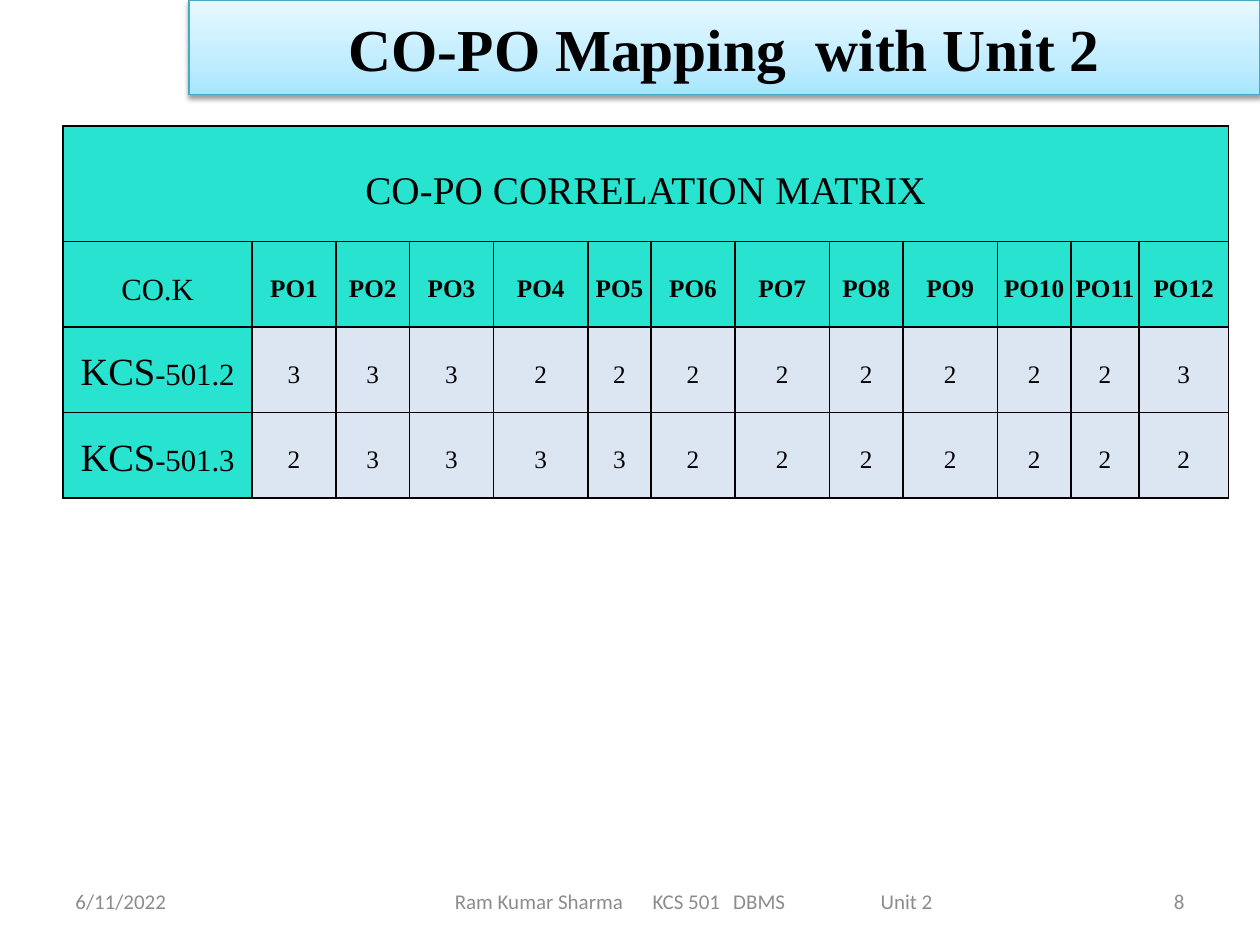
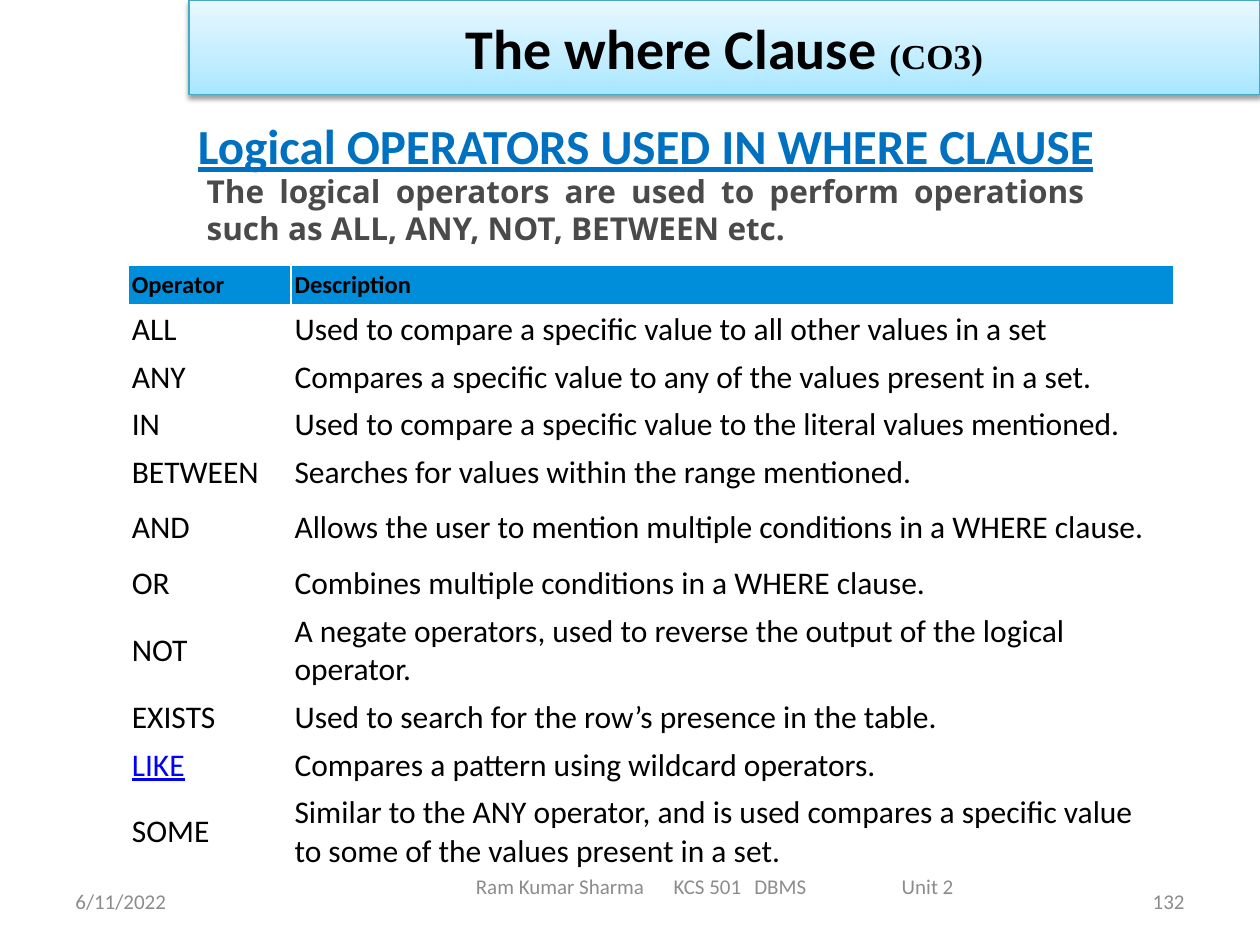
"""Builds two course slides: a CO-PO matrix and the logical operators of WHERE."""
from typing import NamedTuple

from pptx import Presentation
from pptx import util as u
from pptx.dml.color import RGBColor
from pptx.enum import text as t
from pptx.oxml import parse_xml
from pptx.oxml.ns import nsdecls

BLACK = RGBColor(0x00, 0x00, 0x00)
GREY = RGBColor(0x8C, 0x8C, 0x8C)
DARK_GREY = RGBColor(0x4A, 0x4A, 0x4A)
BAND_EDGE = RGBColor(0x46, 0xAA, 0xC5)
TURQUOISE = RGBColor(0x29, 0xE3, 0xD1)
PALE_BLUE = RGBColor(0xDC, 0xE6, 0xF2)
HEADER_BLUE = RGBColor(0x00, 0x8D, 0xD9)
HEADING_BLUE = RGBColor(0x00, 0x70, 0xC0)
LINK_BLUE = RGBColor(0x00, 0x00, 0xFF)
BAND_STOPS = (
    (0, RGBColor(0xA7, 0xE6, 0xFF)),
    (35, RGBColor(0xC1, 0xED, 0xFF)),
    (100, RGBColor(0xE7, 0xF8, 0xFF)),
)

SERIF, SANS, OPEN = "Times New Roman", "Calibri", "Open Sans"
LEFT, CENTER = t.PP_ALIGN.LEFT, t.PP_ALIGN.CENTER
RIGHT, JUSTIFY = t.PP_ALIGN.RIGHT, t.PP_ALIGN.JUSTIFY
MIDDLE, TOP = t.MSO_ANCHOR.MIDDLE, t.MSO_ANCHOR.TOP

GRID_COLUMNS, GRID_ROWS = 120, 90
WIDTH, HEIGHT = u.Inches(10), u.Inches(7.5)

DATE = "6/11/2022"
FOOTER = "Ram Kumar Sharma\tKCS 501\tDBMS\tUnit 2"
FOOTER_TABS = (1.57, 2.21, 3.38)
FOOTER_LENGTH = 3.78

PO_WIDTHS = (8, 7, 8, 9, 6, 8, 9, 7, 9, 7, 6.5, 8.5)
CORRELATIONS = {"KCS-501.2": "333222222223", "KCS-501.3": "233332222222"}

OPERATORS = (
    ("Operator", "Description", 3),
    ("ALL", "Used to compare a specific value to all other values in a set", 3.7),
    ("ANY", "Compares a specific value to any of the values present in a set.", 3.7),
    ("IN", "Used to compare a specific value to the literal values mentioned.", 3.7),
    ("BETWEEN", "Searches for values within the range mentioned.", 4.2),
    ("AND", "Allows the user to mention multiple conditions in a WHERE clause.", 6),
    ("OR", "Combines multiple conditions in a WHERE clause.", 3.7),
    ("NOT", "A negate operators, used to reverse the output of the logical operator.", 6.6),
    ("EXISTS", "Used to search for the row’s presence in the table.", 3.7),
    ("LIKE", "Compares a pattern using wildcard operators.", 3.7),
    ("SOME", "Similar to the ANY operator, and is used compares a specific value "
             "to some of the values present in a set.", 6.6),
)


class Area(NamedTuple):
    """A rectangle in grid columns and rows."""
    column: float
    row: float
    columns: float
    rows: float

    def lengths(self):
        """Return left, top, width and height on the slide."""
        return across(self.column), down(self.row), across(self.columns), down(self.rows)


class Span(NamedTuple):
    """A piece of a title with its own font."""
    text: str
    size: float
    font: str


BAND = Area(18, 0, 102, 9)
DATE_AREA = Area(6, 83.4, 28, 4.8)
NUMBER_AREA = Area(86, 83.4, 28, 4.8)


def across(columns: float) -> int:
    """Turn grid columns into a length."""
    return round(WIDTH * columns / GRID_COLUMNS)


def down(rows: float) -> int:
    """Turn grid rows into a length."""
    return round(HEIGHT * rows / GRID_ROWS)


def write(para, text: str, *, size: float, font: str = SANS, colour=BLACK, bold=False,
          underline=False, small_caps=False, align=LEFT):
    """Append a formatted span to a paragraph."""
    para.alignment = align
    span = para.add_run()
    span.text = text
    span.font.size = u.Pt(size)
    span.font.name = font
    span.font.bold = bold
    span.font.underline = underline
    span.font.color.rgb = colour
    if small_caps:
        span.font._element.set("cap", "small")


def add_text(page, area: Area, text: str, *, anchor=MIDDLE, margins=(0.1, 0.05, 0.1, 0.05),
             **style):
    """Add a wrapping text box and return its paragraph."""
    frame = page.shapes.add_textbox(*area.lengths()).text_frame
    frame.word_wrap = True
    frame.vertical_anchor = anchor
    set_margins(frame, margins)
    write(frame.paragraphs[0], text, **style)
    return frame.paragraphs[0]


def set_margins(holder, margins) -> None:
    """Set left, top, right and bottom margins in inches."""
    sides = ("margin_left", "margin_top", "margin_right", "margin_bottom")
    for side, margin in zip(sides, margins):
        setattr(holder, side, u.Inches(margin))


def style_band(title) -> None:
    """Give the title its gradient, edge and shadow."""
    stops = "".join(f'<a:gs pos="{share * 1000}"><a:srgbClr val="{colour}"/></a:gs>'
                    for share, colour in BAND_STOPS)
    properties = title._element.spPr
    for part in (
        f'<a:prstGeom {nsdecls("a")} prst="rect"><a:avLst/></a:prstGeom>',
        f'<a:gradFill {nsdecls("a")} rotWithShape="1"><a:gsLst>{stops}</a:gsLst>'
        '<a:lin ang="16200000" scaled="0"/></a:gradFill>',
    ):
        properties.append(parse_xml(part))
    title.line.color.rgb = BAND_EDGE
    title.line.width = u.Pt(0.75)
    properties.append(parse_xml(
        f'<a:effectLst {nsdecls("a")}><a:outerShdw blurRad="39400" dist="20300" dir="5400000" '
        'rotWithShape="0"><a:srgbClr val="000000"><a:alpha val="38000"/></a:srgbClr>'
        '</a:outerShdw></a:effectLst>'))


def add_footer(page, area: Area) -> None:
    """Add the course line, its parts spaced by tab stops."""
    inset = (across(area.columns) / u.Inches(1) - FOOTER_LENGTH) / 2
    para = add_text(page, area, FOOTER, size=12, colour=GREY, margins=(inset, 0.05, 0, 0.05))
    tabs = "".join(f'<a:tab pos="{u.Inches(stop)}" algn="l"/>' for stop in FOOTER_TABS)
    para._p.get_or_add_pPr().append(
        parse_xml(f'<a:tabLst {nsdecls("a")}>{tabs}</a:tabLst>'))


def add_page(deck, title_spans, number: str, footer_area: Area):
    """Add a slide with title band, date, course line and number."""
    page = deck.slides.add_slide(deck.slide_layouts[5])
    title = page.shapes.title
    title.left, title.top, title.width, title.height = BAND.lengths()
    style_band(title)
    frame = title.text_frame
    frame.auto_size = t.MSO_AUTO_SIZE.NONE
    frame.vertical_anchor = MIDDLE
    for span in title_spans:
        write(frame.paragraphs[0], span.text, size=span.size, font=span.font,
              bold=True, align=CENTER)
    add_text(page, DATE_AREA, DATE, size=12, colour=GREY)
    add_footer(page, footer_area)
    add_text(page, NUMBER_AREA, number, size=12, colour=GREY, align=RIGHT)
    return page


def add_grid(page, column: float, row: float, widths, heights):
    """Add a plain table with the given column widths and row heights."""
    area = Area(column, row, sum(widths), sum(heights))
    table = page.shapes.add_table(len(heights), len(widths), *area.lengths()).table
    table.first_row = table.horz_banding = False
    for grid_column, width in zip(table.columns, widths):
        grid_column.width = across(width)
    for grid_row, height in zip(table.rows, heights):
        grid_row.height = down(height)
    return table


def fill_cell(cell, text: str, *, fill=None, margins=(0, 0, 0, 0), **style):
    """Fill a cell, write its text and return the paragraph."""
    if fill is None:
        cell.fill.background()
    else:
        cell.fill.solid()
        cell.fill.fore_color.rgb = fill
    cell.vertical_anchor = MIDDLE
    set_margins(cell, margins)
    para = cell.text_frame.paragraphs[0]
    if text:
        write(para, text, **style)
    return para


def add_borders(cell) -> None:
    """Draw a black line on each side of a cell."""
    for index, side in enumerate("LRTB"):
        cell._tc.get_or_add_tcPr().insert(index, parse_xml(
            f'<a:ln{side} {nsdecls("a")} w="12700"><a:solidFill>'
            f'<a:srgbClr val="{BLACK}"/></a:solidFill></a:ln{side}>'))


def build_mapping(deck) -> None:
    """Build the CO-PO correlation matrix."""
    page = add_page(deck, [Span("CO-PO Mapping  with Unit 2", 34, SERIF)], "8",
                    Area(33, 83.4, 66, 4.8))
    outcomes = [f"po{number}" for number in range(1, len(PO_WIDTHS) + 1)]
    lines = [["co-po correlation matrix"] + [""] * len(outcomes), ["co.k", *outcomes]]
    lines += [[course, *levels] for course, levels in CORRELATIONS.items()]
    table = add_grid(page, 6, 12, (18, *PO_WIDTHS), (11, 8.15, 8.15, 8.15))
    table.cell(0, 0).merge(table.cell(0, len(outcomes)))
    for row, line in enumerate(lines):
        for column, text in enumerate(line):
            cell = table.cell(row, column)
            size = 28 if row == 0 else 22 if column == 0 else 18
            para = fill_cell(cell, text, fill=TURQUOISE if row < 2 or column == 0 else PALE_BLUE,
                             size=size, font=SERIF, bold=row == 1 and column > 0,
                             small_caps=True, align=CENTER)
            para.line_spacing = 1.15
            para.space_after = u.Pt(10)
            add_borders(cell)


def build_operators(deck) -> None:
    """Build the table of logical operators."""
    page = add_page(deck, [Span("The where Clause ", 32, SANS), Span("(CO3)", 20, SERIF)],
                    "132", Area(37, 82, 62, 4.8))
    add_text(page, Area(13.7, 10.4, 95.6, 6.8), "Logical OPERATORS USED IN WHERE CLAUSE",
             anchor=TOP, size=28, colour=HEADING_BLUE, bold=True, underline=True, align=CENTER)
    table = add_grid(page, 12.2, 25.3, (15.5, 84.1), [line[-1] for line in OPERATORS])
    for row, (*texts, _) in enumerate(OPERATORS):
        for column, text in enumerate(texts):
            header, link = row == 0, text == "LIKE"
            fill_cell(table.cell(row, column), text, fill=HEADER_BLUE if header else None,
                      margins=(0.03, 0.04, 0.08, 0.04), size=14 if header else 18,
                      bold=header, underline=link, colour=LINK_BLUE if link else BLACK)
    add_text(page, Area(18.5, 16.3, 86, 7.9),
             "The logical operators are used to perform operations such as ALL, ANY, NOT, "
             "BETWEEN etc.", margins=(0.1, 0, 0.1, 0.05), size=18, font=OPEN,
             colour=DARK_GREY, bold=True, align=JUSTIFY)


def main() -> None:
    """Build and save the deck."""
    deck = Presentation()
    deck.slide_width, deck.slide_height = WIDTH, HEIGHT
    build_mapping(deck)
    build_operators(deck)
    deck.save("out.pptx")


if __name__ == "__main__":
    main()
